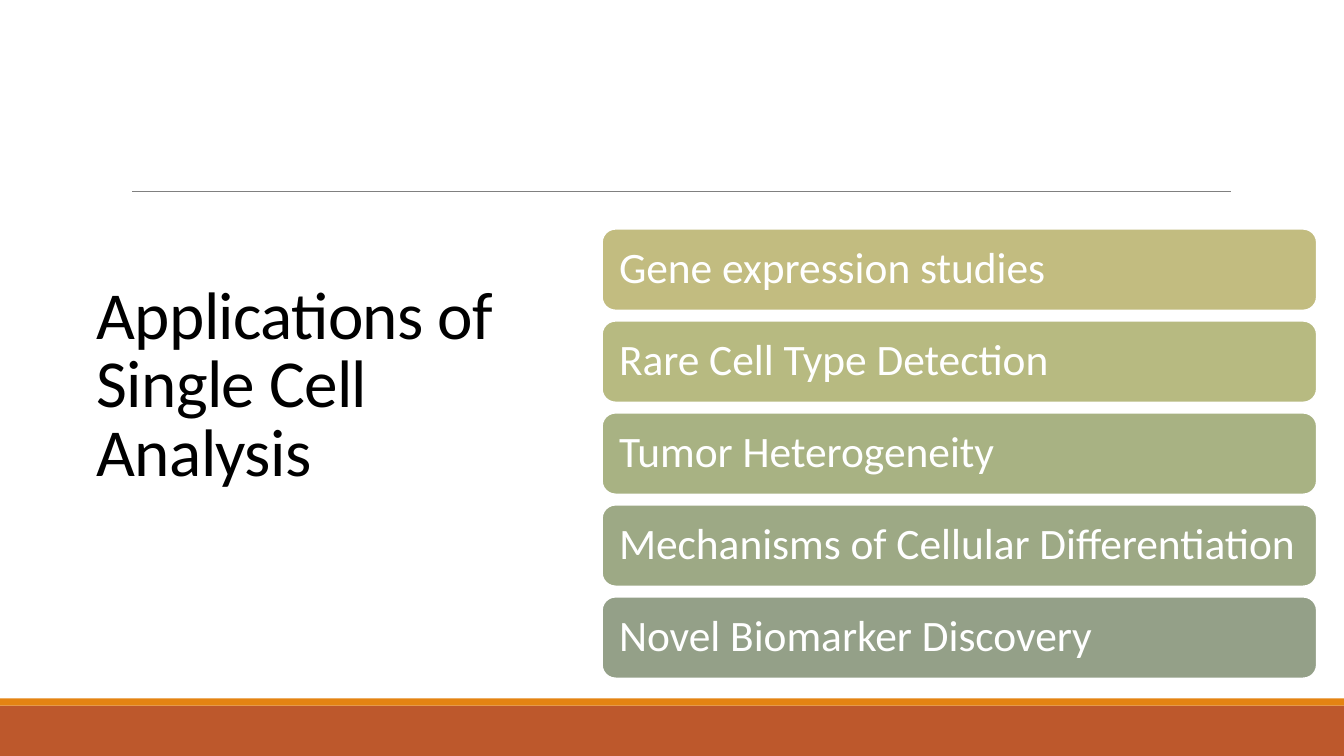
import pptx
import pptx.dml.color
import pptx.enum.shapes
import pptx.enum.text
import pptx.oxml.ns
import pptx.util
from lxml import etree
from pptx.util import Inches

COLORS = {
    "title": "000000",
    "white": "FFFFFF",
    "rule": "808080",
    "footer": "BD582C",
    "footer_edge": "E48312",
}
FONT = "Calibri"
APPLICATIONS = [
    ("Gene expression studies", "C2BC80"),
    ("Rare Cell Type Detection", "B7BA81"),
    ("Tumor Heterogeneity", "A8B283"),
    ("Mechanisms of Cellular Differentiation", "9DA985"),
    ("Novel Biomarker Discovery", "94A088"),
]
CARD_TOP = 2.27
CARD_STEP = 0.9125


def rgb(value):
    return pptx.dml.color.RGBColor.from_string(value)


def format_text(text_frame, size, color, line_spacing):
    text_frame.word_wrap = True
    text_frame.auto_size = pptx.enum.text.MSO_AUTO_SIZE.NONE
    text_frame.vertical_anchor = pptx.enum.text.MSO_ANCHOR.MIDDLE
    paragraph = text_frame.paragraphs[0]
    paragraph.alignment = pptx.enum.text.PP_ALIGN.LEFT
    paragraph.line_spacing = line_spacing
    paragraph.font.name = FONT
    paragraph.font.size = pptx.util.Pt(size)
    paragraph.font.color.rgb = rgb(color)


def add_filled_shape(slide, kind, left, top, width, height, fill):
    shape = slide.shapes.add_shape(
        kind, Inches(left), Inches(top), Inches(width), Inches(height))
    shape.shadow.inherit = False
    shape.fill.solid()
    shape.fill.fore_color.rgb = rgb(fill)
    shape.line.fill.background()
    return shape


def add_footer_band(slide, top, height, color):
    rectangle = pptx.enum.shapes.MSO_SHAPE.RECTANGLE
    add_filled_shape(slide, rectangle, 0, top, 13.33, height, color)


def add_rule(slide):
    rule = slide.shapes.add_connector(
        pptx.enum.shapes.MSO_CONNECTOR.STRAIGHT,
        Inches(1.31), Inches(1.9), Inches(12.21), Inches(1.9))
    rule.line.color.rgb = rgb(COLORS["rule"])
    rule.line.width = pptx.util.Pt(0.5)
    etree.SubElement(rule._element.spPr, pptx.oxml.ns.qn("a:effectLst"))


def set_title(slide, text):
    title = slide.shapes.title
    title.left, title.top = Inches(0.86), Inches(0.92)
    title.width, title.height = Inches(4.68), Inches(5.84)
    title.text_frame.text = text
    format_text(title.text_frame, 48, COLORS["title"], 0.85)
    run = title.text_frame.paragraphs[0].runs[0]
    run._r.get_or_add_rPr().set("spc", "-50")


def add_card(slide, top, text, fill):
    rounded = pptx.enum.shapes.MSO_SHAPE.ROUNDED_RECTANGLE
    card = add_filled_shape(slide, rounded, 5.97, top, 7.09, 0.81, fill)
    card.line.color.rgb = rgb(COLORS["white"])
    card.line.width = pptx.util.Pt(1.25)
    text_frame = card.text_frame
    text_frame.text = text
    text_frame.margin_left = text_frame.margin_right = Inches(0.13)
    text_frame.margin_top = text_frame.margin_bottom = Inches(0.13)
    format_text(text_frame, 31, COLORS["white"], 0.9)


def main():
    presentation = pptx.Presentation()
    presentation.slide_width = Inches(13.33)
    presentation.slide_height = Inches(7.5)
    slide = presentation.slides.add_slide(presentation.slide_layouts[5])
    add_footer_band(slide, 7, 0.5, COLORS["footer"])
    add_footer_band(slide, 6.93, 0.07, COLORS["footer_edge"])
    add_rule(slide)
    set_title(slide, "Applications of Single Cell Analysis")
    for index, (text, fill) in enumerate(APPLICATIONS):
        add_card(slide, CARD_TOP + index * CARD_STEP, text, fill)
    presentation.save("out.pptx")


if __name__ == "__main__":
    main()
